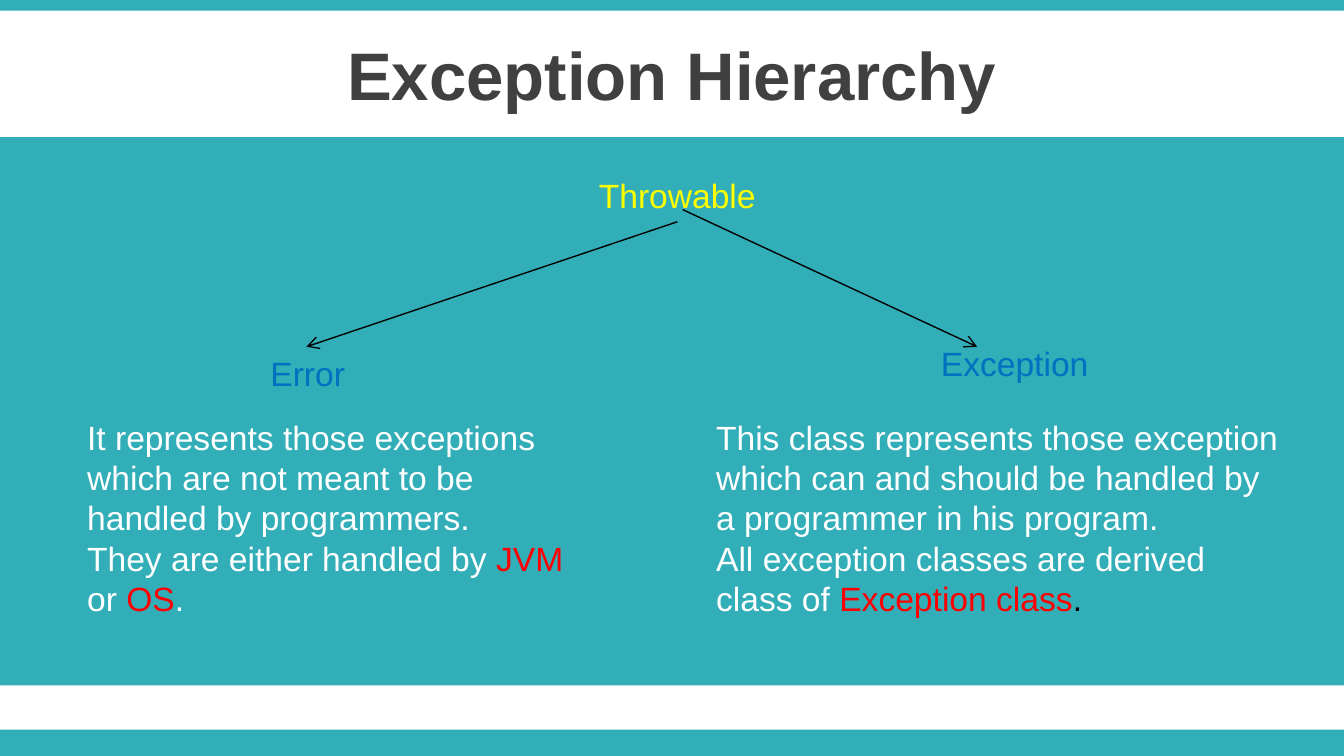
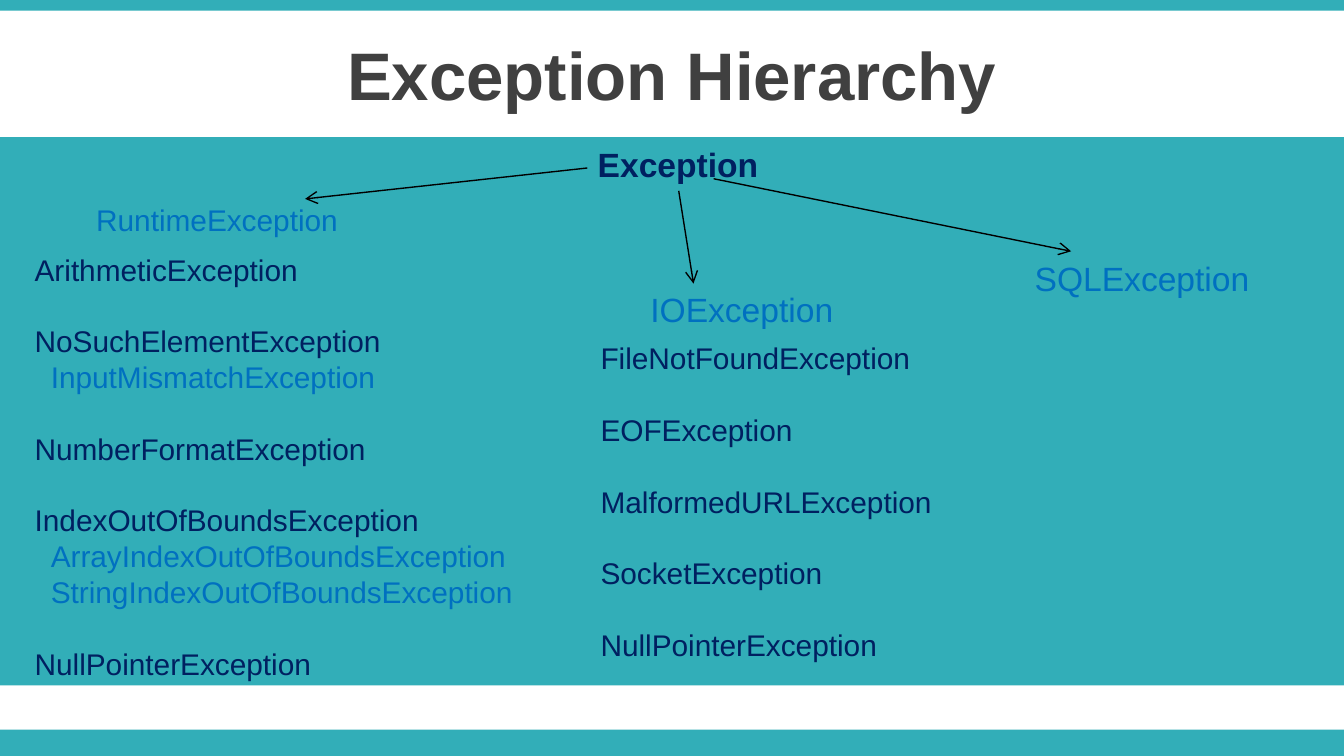
from lxml import etree
from pptx import Presentation
from pptx import util as u
from pptx.dml.color import RGBColor
from pptx.enum import shapes, text
from pptx.oxml.ns import qn

TEAL, WHITE, BLACK, GREY = "32AEB8", "FFFFFF", "000000", "404040"
BLUE, NAVY, RED, YELLOW = "0070C0", "002060", "FF0000", "FFFF00"
BANDS = [(0, 0.08), (5.43, 0.2), (1.02, 4.08)]


def rgb(value):
    return RGBColor.from_string(value)


class Deck:
    """Holds the shared style and the slide being built."""

    font = "Arial"
    line_height = 1.2
    sub_indent = 0.12

    def __init__(self):
        self.prs = Presentation()
        self.prs.slide_width = u.Inches(10)
        self.prs.slide_height = u.Inches(10 * 9 / 16)

    def slide(self, title):
        self.s = self.prs.slides.add_slide(self.prs.slide_layouts[6])
        for top, height in BANDS:
            self.band(top, height)
        self.label(title, 0, 0.23, 10, 0.63, GREY, 36, bold=True,
                   anchor=text.MSO_ANCHOR.MIDDLE)

    def band(self, top, height):
        sp = self.s.shapes.add_shape(shapes.MSO_SHAPE.RECTANGLE, 0, u.Inches(top),
                                     self.prs.slide_width, u.Inches(height))
        sp.shadow.inherit = False
        sp.fill.solid()
        sp.fill.fore_color.rgb = rgb(TEAL)
        sp.line.fill.background()

    def frame(self, left, top, width, height):
        sp = self.s.shapes.add_textbox(*map(u.Inches, (left, top, width, height)))
        tf = sp.text_frame
        tf.word_wrap = True
        return tf

    def paragraph(self, tf, runs, size, bold=False):
        p = tf.paragraphs[0]
        if p.runs:
            p = tf.add_paragraph()
        p.line_spacing = u.Pt(size * self.line_height)
        for words, color in runs:
            r = p.add_run()
            r.text = words
            r.font.name, r.font.size, r.font.bold = self.font, u.Pt(size), bold
            r.font.color.rgb = rgb(color)
        return p

    def label(self, words, left, top, width, height=0.4, color=BLUE, size=18,
              bold=False, align=text.PP_ALIGN.CENTER, anchor=text.MSO_ANCHOR.TOP):
        tf = self.frame(left, top, width, height)
        tf.vertical_anchor = anchor
        self.paragraph(tf, [(words, color)], size, bold).alignment = align

    def body(self, paragraphs, left, top, width, height):
        tf = self.frame(left, top, width, height)
        for runs in paragraphs:
            self.paragraph(tf, runs, 18)

    def class_list(self, groups, left, top, width, height, size=16):
        tf = self.frame(left, top, width, height)
        for i, (name, *subclasses) in enumerate(groups):
            p = self.paragraph(tf, [(name, NAVY)], size)
            if i:
                p.space_before = u.Pt(size * self.line_height)
            for sub in subclasses:
                p = self.paragraph(tf, [(sub, BLUE)], size)
                p._p.get_or_add_pPr().set("marL", str(u.Inches(self.sub_indent)))

    def arrow(self, start, end):
        sp = self.s.shapes.add_connector(shapes.MSO_CONNECTOR.STRAIGHT,
                                         *map(u.Inches, start + end))
        sp.line.color.rgb = rgb(BLACK)
        sp.line.width = u.Pt(0.75)
        etree.SubElement(sp.line._get_or_add_ln(), qn("a:tailEnd"), type="arrow")
        etree.SubElement(sp._element.spPr, qn("a:effectLst"))


def throwable_slide(deck):
    deck.slide("Exception Hierarchy")
    deck.body([
        [("It represents those exceptions", WHITE)],
        [("which are not meant to be", WHITE)],
        [("handled by programmers.", WHITE)],
        [("They are either handled by ", WHITE), ("JVM ", RED), ("or ", WHITE),
         ("OS", RED), (".", WHITE)],
    ], 0.55, 3.05, 3.91, 1.62)
    deck.body([
        [("This class represents those exception which can and should be "
          "handled by a programmer in his program.", WHITE)],
        [("All exception classes are derived", WHITE)],
        [("class of ", WHITE), ("Exception class", RED), (".", BLACK)],
    ], 5.23, 3.05, 4.41, 1.62)
    deck.label("Error", 0.91, 2.58, 2.76)
    deck.label("Exception", 6.17, 2.5, 2.76)
    deck.label("Throwable", 3.66, 1.25, 2.76, color=YELLOW)
    deck.arrow((5.08, 1.56), (7.27, 2.58))
    deck.arrow((5.04, 1.65), (2.28, 2.58))


def exception_slide(deck):
    deck.slide("Exception Hierarchy")
    deck.class_list([
        ("ArithmeticException",),
        ("NoSuchElementException", "InputMismatchException"),
        ("NumberFormatException",),
        ("IndexOutOfBoundsException", "ArrayIndexOutOfBoundsException",
         "StringIndexOutOfBoundsException"),
        ("NullPointerException",),
    ], 0.16, 1.82, 4.33, 3.33)
    deck.class_list([
        ("FileNotFoundException",),
        ("EOFException",),
        ("MalformedURLException",),
        ("SocketException",),
        ("NullPointerException",),
    ], 4.37, 2.48, 3.15, 2.52)
    deck.label("RuntimeException", 0.12, 1.45, 2.99, 0.37, size=16)
    deck.label("IOException", 4.22, 2.1, 2.6)
    deck.label("SQLException", 7.6, 1.87, 2.05, align=text.PP_ALIGN.LEFT)
    deck.label("Exception", 4.06, 1.02, 1.97, color=NAVY, bold=True)
    deck.arrow((5.31, 1.33), (7.97, 1.87))
    deck.arrow((5.05, 1.42), (5.16, 2.11))
    deck.arrow((4.37, 1.25), (2.27, 1.48))


def main():
    deck = Deck()
    throwable_slide(deck)
    exception_slide(deck)
    deck.prs.save("out.pptx")


if __name__ == "__main__":
    main()
